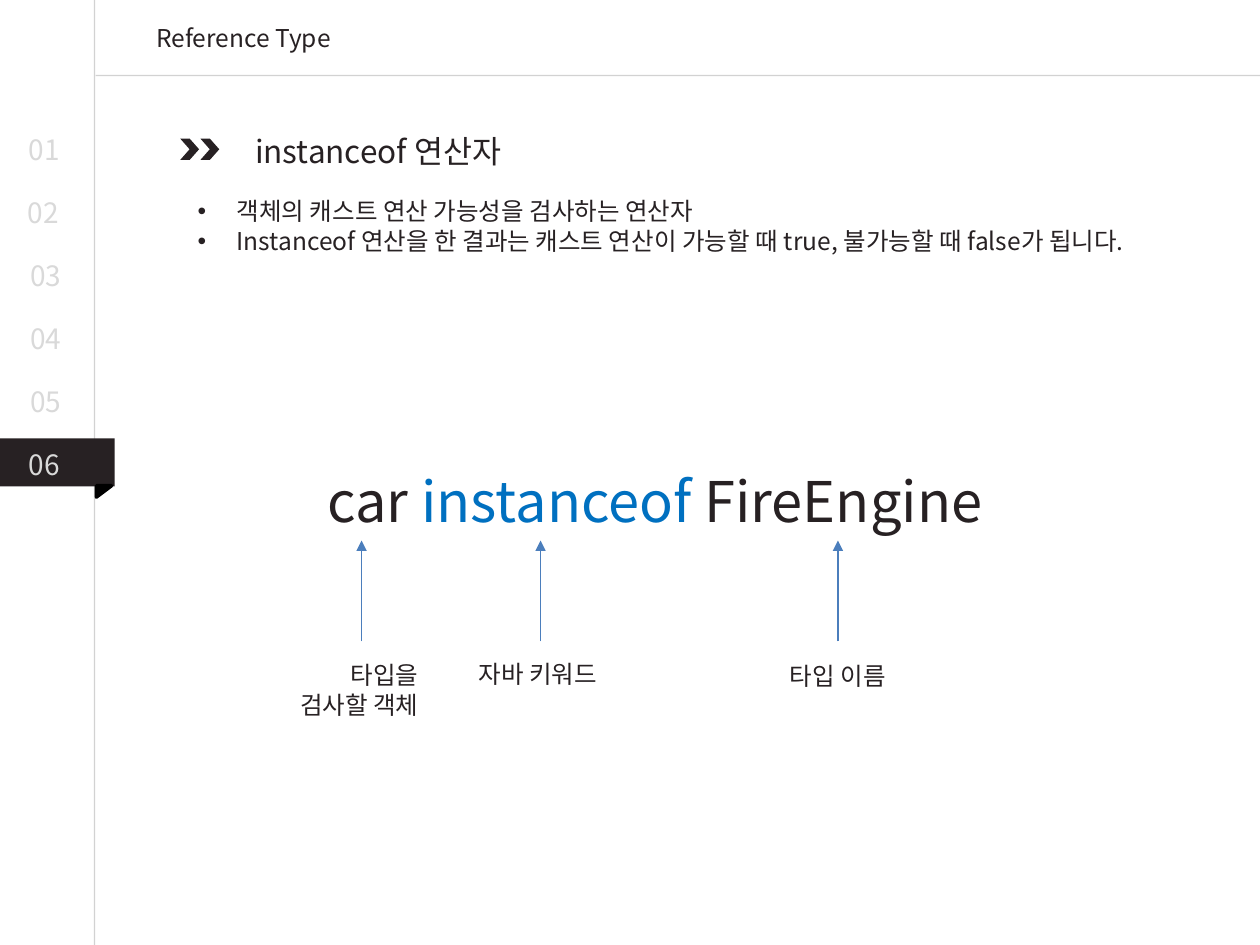
from lxml import etree
from pptx import Presentation
from pptx.dml.color import RGBColor
from pptx.enum.shapes import MSO_CONNECTOR, MSO_SHAPE
from pptx.enum.text import MSO_ANCHOR, MSO_AUTO_SIZE, PP_ALIGN
from pptx.oxml.ns import qn
from pptx.util import Inches, Pt

STRAIGHT = MSO_CONNECTOR.STRAIGHT
RECT, CHEVRON, TRIANGLE = MSO_SHAPE.RECTANGLE, MSO_SHAPE.CHEVRON, MSO_SHAPE.RIGHT_TRIANGLE
LEFT, CENTER, RIGHT = PP_ALIGN.LEFT, PP_ALIGN.CENTER, PP_ALIGN.RIGHT
FONT = "Noto Sans CJK KR"
DARK = RGBColor(0x27, 0x21, 0x23)
PALE = RGBColor(0xD9, 0xD9, 0xD9)
RULE = RGBColor(0xA6, 0xA6, 0xA6)
BLUE = RGBColor(0x00, 0x70, 0xC0)
ARROW = RGBColor(0x4B, 0x7E, 0xBC)
BLACK = RGBColor(0, 0, 0)

prs = Presentation()
prs.slide_width, prs.slide_height = Inches(10), Inches(7.5)
COL, ROW = prs.slide_width / 100, prs.slide_height / 75
s = prs.slides.add_slide(prs.slide_layouts[5])


def write(text, x, y, w, h, size=14, color=DARK, align=LEFT, bullet=False, accent=None, box=None):
    box = box or s.shapes.add_textbox(0, 0, 0, 0)
    box.left, box.top = int(x * COL), int(y * ROW)
    box.width, box.height = int(w * COL), int(h * ROW)
    tf = box.text_frame
    tf.word_wrap = True
    tf.auto_size = MSO_AUTO_SIZE.NONE
    tf.vertical_anchor = MSO_ANCHOR.TOP
    for i, line in enumerate(text.split("\n")):
        p = tf.add_paragraph() if i else tf.paragraphs[0]
        p.alignment = align
        if bullet:
            pPr = p._p.get_or_add_pPr()
            pPr.set("marL", str(Inches(0.31)))
            pPr.set("indent", str(-Inches(0.31)))
            etree.SubElement(pPr, qn("a:buFont"), typeface="Arial")
            etree.SubElement(pPr, qn("a:buChar"), char="•")
        before, word, after = line.partition(accent) if accent else (line, "", "")
        for part, tone in ((before, color), (word, BLUE), (after, color)):
            if part:
                r = p.add_run()
                r.text = part
                r.font.name, r.font.size = FONT, Pt(size)
                r.font.color.rgb = tone
                etree.SubElement(r._r.get_or_add_rPr(), qn("a:ea"), typeface=FONT)


def connect(x1, y1, x2, y2, color, alpha=None, arrow=False):
    c = s.shapes.add_connector(STRAIGHT, int(x1 * COL), int(y1 * ROW), int(x2 * COL), int(y2 * ROW))
    c.line.width = Pt(0.75)
    c.line.color.rgb = color
    ln = c.line._ln
    if alpha:
        etree.SubElement(ln.find(".//" + qn("a:srgbClr")), qn("a:alpha"), val=str(alpha * 1000))
    if arrow:
        etree.SubElement(ln, qn("a:tailEnd"), type="triangle")
    etree.SubElement(c._element.spPr, qn("a:effectLst"))


connect(7.5, 0, 7.5, 75, RULE, alpha=50)
connect(100, 6, 7.6, 6, RULE, alpha=50)

for kind, x, y, w, h, fill, rotation in (
    (RECT, 0, 34.8, 9.1, 3.8, DARK, 0),
    (TRIANGLE, 7.8, 38.4, 0.9, 1.2, BLACK, 90),
    (CHEVRON, 15.9, 11, 1.5, 1.7, DARK, 0),
    (CHEVRON, 14.3, 11, 1.5, 1.7, DARK, 0),
):
    sp = s.shapes.add_shape(kind, int(x * COL), int(y * ROW), int(w * COL), int(h * ROW))
    sp.shadow.inherit = False
    sp.rotation = rotation
    sp.fill.solid()
    sp.fill.fore_color.rgb = fill
    if kind == TRIANGLE:
        sp.line.color.rgb = BLACK
        sp.line.width = Pt(2)
    else:
        sp.line.fill.background()

write("Reference Type", 11.4, 1.3, 37, 3.4, box=s.shapes.title)
for i, x in enumerate((1.3, 1.2, 1.4, 1.4, 1.4, 1.3)):
    write(f"{i + 1:02}", x, 10 + 5 * i, 4.9, 3.7, size=16, color=PALE)

write(" instanceof 연산자", 18.7, 10, 32.6, 4, size=18)
write("객체의 캐스트 연산 가능성을 검사하는 연산자\n"
      "Instanceof 연산을 한 결과는 캐스트 연산이 가능할 때 true, 불가능할 때 false가 됩니다.",
      14.7, 15.1, 82.6, 5.7, bullet=True)
write(" car instanceof FireEngine", 24, 36.5, 61.4, 6.4, size=32, accent="instanceof")

for label, arrow_x, x, y, h, align in (
    ("타입을\n검사할 객체", 28.7, 22.4, 51.9, 5.7, RIGHT),
    ("자바 키워드", 42.9, 37, 51.8, 3.4, LEFT),
    ("타입 이름", 66.5, 60.6, 52, 3.4, CENTER),
):
    connect(arrow_x, 50.9, arrow_x, 42.9, ARROW, arrow=True)
    write(label, x, y, 11.8, h, align=align)

prs.save("out.pptx")
